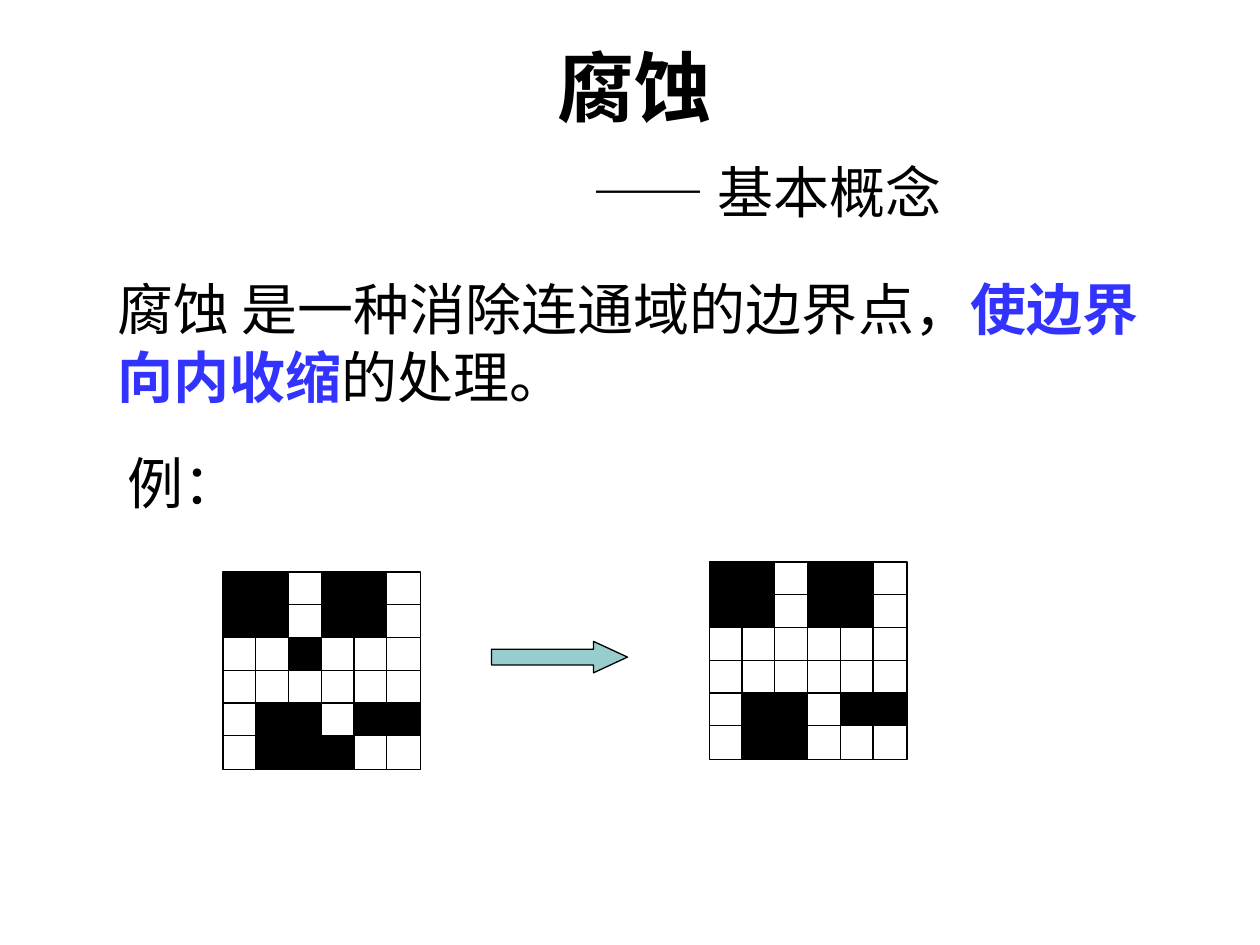
from pptx import Presentation, util as u
from pptx.dml.color import RGBColor
from pptx.enum import shapes, text
from pptx.oxml.ns import qn
from lxml import etree

CJK = "Noto Sans CJK SC"


def style(span, size, font, colour="000000", bold=False):
    span.font.size = u.Pt(size)
    span.font.name = font
    span.font.bold = bold
    span.font.color.rgb = RGBColor.from_string(colour)
    span.font._element.find(qn("a:latin")).addnext(
        etree.Element(qn("a:ea"), typeface=CJK))


def paint(shape, fill):
    shape.shadow.inherit = False
    shape.fill.solid()
    shape.fill.fore_color.rgb = RGBColor.from_string(fill)
    shape.line.color.rgb = RGBColor.from_string("000000")
    shape.line.width = u.Pt(0.75)


deck = Presentation()
deck.slide_width, deck.slide_height = u.Inches(10), u.Inches(7.5)
page = deck.slides.add_slide(deck.slide_layouts[1])
title, body = page.placeholders
for box, top, height in [(title, 0.58, 1.25), (body, 2.08, 4.42)]:
    box.left, box.top = u.Inches(0.83), u.Inches(top)
    box.width, box.height = u.Inches(8.42), u.Inches(height)
    box.text_frame.auto_size = text.MSO_AUTO_SIZE.NONE

# Title, with the subtitle indented to sit right of centre
title.text_frame.vertical_anchor = text.MSO_ANCHOR.BOTTOM
title.text_frame.text = "腐蚀\n—— 基本概念"
heading, subtitle = title.text_frame.paragraphs
heading.alignment = subtitle.alignment = text.PP_ALIGN.CENTER
subtitle._p.get_or_add_pPr().set("marL", str(u.Inches(2.1)))
subtitle.line_spacing = u.Pt(53)
style(heading.runs[0], 44, "Montserrat", bold=True)
style(subtitle.runs[0], 32, "Montserrat")

# Definition
body.text_frame.margin_top = u.Inches(0.09)
para = body.text_frame.paragraphs[0]
props = para._p.get_or_add_pPr()
props.set("marL", "0")
props.set("indent", "0")
etree.SubElement(props, qn("a:buNone"))
para.space_before = u.Pt(0)
para.line_spacing = u.Pt(39)
for words, colour, bold in [("腐蚀 是一种消除连通域的边界点，", "000000", False),
                            ("使边界向内收缩", "3333FF", True),
                            ("的处理。", "000000", False)]:
    span = para.add_run()
    span.text = words
    style(span, 32, "Arial", colour, bold)

# Example label
label = page.shapes.add_textbox(u.Inches(0.91), u.Inches(3.5),
                                u.Inches(6.51), u.Inches(0.64))
label.text_frame.word_wrap = True
label.text_frame.text = "例："
label.text_frame.paragraphs[0].line_spacing = u.Pt(39)
style(label.text_frame.paragraphs[0].runs[0], 32, CJK)

# Pixel grids before and after erosion: # is black
before = ["##.##.", "##.##.", "..#...", "......", ".##.##", ".###.."]
after = ["##.##.", "##.##.", "......", "......", ".##.##", ".##..."]
pitch, side = 0.26, 0.27
for left, top, pattern in [(1.77, 4.54, before), (5.63, 4.46, after)]:
    grid = page.shapes.add_group_shape()
    for row, line in enumerate(pattern):
        for column, mark in enumerate(line):
            cell = grid.shapes.add_shape(
                shapes.MSO_SHAPE.RECTANGLE,
                u.Inches(left + column * pitch), u.Inches(top + row * pitch),
                u.Inches(side), u.Inches(side))
            paint(cell, "000000" if mark == "#" else "FFFFFF")

# Arrow between the grids
arrow = page.shapes.add_shape(shapes.MSO_SHAPE.RIGHT_ARROW, u.Inches(3.9),
                              u.Inches(5.09), u.Inches(1.08), u.Inches(0.25))
arrow.adjustments[0], arrow.adjustments[1] = 0.5, 1.08
paint(arrow, "97CDCC")

deck.save("out.pptx")
